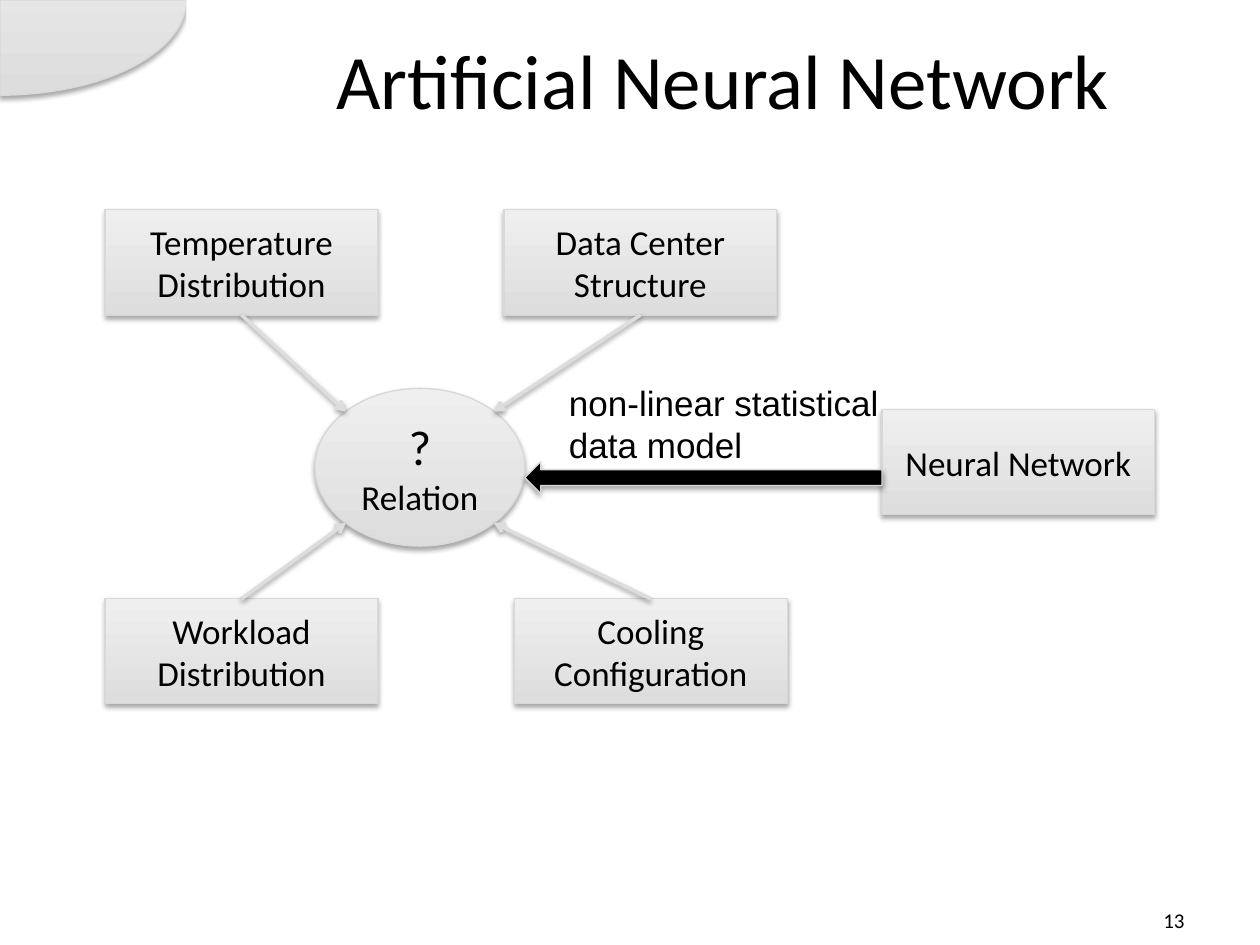
import math
from dataclasses import dataclass
from typing import Any

import lxml.etree
import pptx
import pptx.dml.color
import pptx.enum.shapes
import pptx.enum.text
import pptx.oxml
import pptx.oxml.ns
import pptx.util

Cm = pptx.util.Cm
Pt = pptx.util.Pt
Shapes = pptx.enum.shapes.MSO_SHAPE
Align = pptx.enum.text.PP_ALIGN
Anchor = pptx.enum.text.MSO_ANCHOR
qn = pptx.oxml.ns.qn


@dataclass(frozen=True)
class Theme:
    black: str = "000000"
    white: str = "FFFFFF"
    dark_grey: str = "DDDDDD"
    light_grey: str = "EFEFEF"
    outline: str = "D8D8D8"
    font: str = "Calibri"
    label_font: str = "Arial"
    title_size: float = 44
    symbol_size: float = 28
    body_size: float = 20
    number_size: float = 12
    outline_width: float = 0.75
    link_width: float = 2
    shadow_blur: float = 3.1


@dataclass(frozen=True)
class Box:
    left: float
    top: float
    width: float
    height: float

    def lengths(self) -> tuple:
        return Cm(self.left), Cm(self.top), Cm(self.width), Cm(self.height)


@dataclass(frozen=True)
class Factor:
    text: str
    left: float
    top: float
    site: int
    side_x: int
    side_y: int


THEME = Theme()
BOX_WIDTH, BOX_HEIGHT = 5.5, 2.12
TOP_ROW, BOTTOM_ROW = 4.23, 12.07
RELATION = Box(6.35, 7.83, 4.23, 3.18)
FACTORS = (
    Factor("Temperature Distribution", 2.12, TOP_ROW, 2, -1, -1),
    Factor("Data Center Structure", 10.16, TOP_ROW, 2, 1, -1),
    Factor("Workload Distribution", 2.12, BOTTOM_ROW, 0, -1, 1),
    Factor("Cooling Configuration", 10.37, BOTTOM_ROW, 0, 1, 1),
)


def color(value: str) -> Any:
    return pptx.dml.color.RGBColor.from_string(value)


def apply(target: Any, values: dict) -> None:
    for name, value in values.items():
        setattr(target, name, value)


def add_shadow(effects: Any, distance: float, opacity: int) -> None:
    shadow = lxml.etree.SubElement(effects, qn("a:outerShdw"), {
        "blurRad": str(int(Pt(THEME.shadow_blur))),
        "dist": str(int(Pt(distance))),
        "dir": "5400000",
        "rotWithShape": "0",
    })
    tint = lxml.etree.SubElement(shadow, qn("a:srgbClr"), {"val": THEME.black})
    lxml.etree.SubElement(tint, qn("a:alpha"), {"val": str(opacity * 1000)})


def add_figure(slide: Any, kind: Any, box: Box, solid: str = "") -> Any:
    shape = slide.shapes.add_shape(kind, *box.lengths())
    if solid:
        shape.fill.solid()
        shape.fill.fore_color.rgb = color(solid)
    else:
        shape.fill.gradient()
        shape.fill.gradient_angle = 90
        for stop, shade in zip(shape.fill.gradient_stops, (THEME.dark_grey, THEME.light_grey)):
            stop.color.rgb = color(shade)
    shape.line.color.rgb = color(THEME.outline)
    shape.line.width = Pt(THEME.outline_width)
    shape.shadow.inherit = False
    add_shadow(shape.element.spPr.find(qn("a:effectLst")), 1.8, 35)
    return shape


def write(shape: Any, lines: dict[str, float], alignment: Any = Align.CENTER,
          anchor: Any = Anchor.MIDDLE, font: str = THEME.font) -> None:
    apply(shape.text_frame, {"word_wrap": True, "vertical_anchor": anchor})
    paragraph = shape.text_frame.paragraphs[0]
    paragraph.alignment = alignment
    for index, (text, size) in enumerate(lines.items()):
        if index:
            paragraph.add_line_break()
        run = paragraph.add_run()
        run.text = text
        apply(run.font, {"name": font, "size": Pt(size)})
        run.font.color.rgb = color(THEME.black)


def add_box(slide: Any, text: str, left: float, top: float) -> Any:
    shape = add_figure(slide, Shapes.RECTANGLE, Box(left, top, BOX_WIDTH, BOX_HEIGHT))
    write(shape, {text: THEME.body_size})
    return shape


def add_link(slide: Any, factor: Factor, box: Any) -> None:
    reach = math.sqrt(0.5)
    end_x = RELATION.left + RELATION.width / 2 * (1 + factor.side_x * reach)
    end_y = RELATION.top + RELATION.height / 2 * (1 + factor.side_y * reach)
    connector = slide.shapes.add_connector(
        pptx.enum.shapes.MSO_CONNECTOR.STRAIGHT, box.left, box.top, Cm(end_x), Cm(end_y))
    connector.begin_connect(box, factor.site)
    connector.line.color.rgb = color(THEME.dark_grey)
    connector.line.width = Pt(THEME.link_width)
    properties = connector.element.spPr
    lxml.etree.SubElement(properties.find(qn("a:ln")), qn("a:tailEnd"), {"type": "arrow"})
    add_shadow(lxml.etree.SubElement(properties, qn("a:effectLst")), 1.6, 38)


def main() -> None:
    presentation = pptx.Presentation()
    apply(presentation, {"slide_width": Cm(25.4), "slide_height": Cm(19.05)})
    slide = presentation.slides.add_slide(presentation.slide_layouts[6])

    corner = add_figure(slide, Shapes.PIE, Box(-3.76, -1.92, 7.52, 3.84))
    corner.adjustments[0] = 0
    corner.adjustments[1] = 54

    number = slide.shapes.add_textbox(*Box(18.2, 18.03, 5.93, 1.02).lengths())
    write(number, {"13": THEME.number_size}, Align.RIGHT)
    title = slide.shapes.add_textbox(*Box(3.76, 0, 21.64, 3.18).lengths())
    title.fill.solid()
    title.fill.fore_color.rgb = color(THEME.white)
    write(title, {"Artificial Neural Network": THEME.title_size})

    relation = add_figure(slide, Shapes.OVAL, RELATION)
    write(relation, {"?": THEME.symbol_size, "Relation": THEME.body_size})
    for factor in FACTORS:
        add_link(slide, factor, add_box(slide, factor.text, factor.left, factor.top))

    label = slide.shapes.add_textbox(*Box(11.22, 7.57, 7.2, 1.97).lengths())
    write(label, {"non-linear statistical data model": THEME.body_size},
          Align.LEFT, Anchor.TOP, THEME.label_font)
    add_box(slide, "Neural Network", 17.78, 8.26)
    add_figure(slide, Shapes.LEFT_ARROW, Box(10.58, 9.31, 7.2, 0.64), THEME.black)

    presentation.save("out.pptx")


if __name__ == "__main__":
    main()
